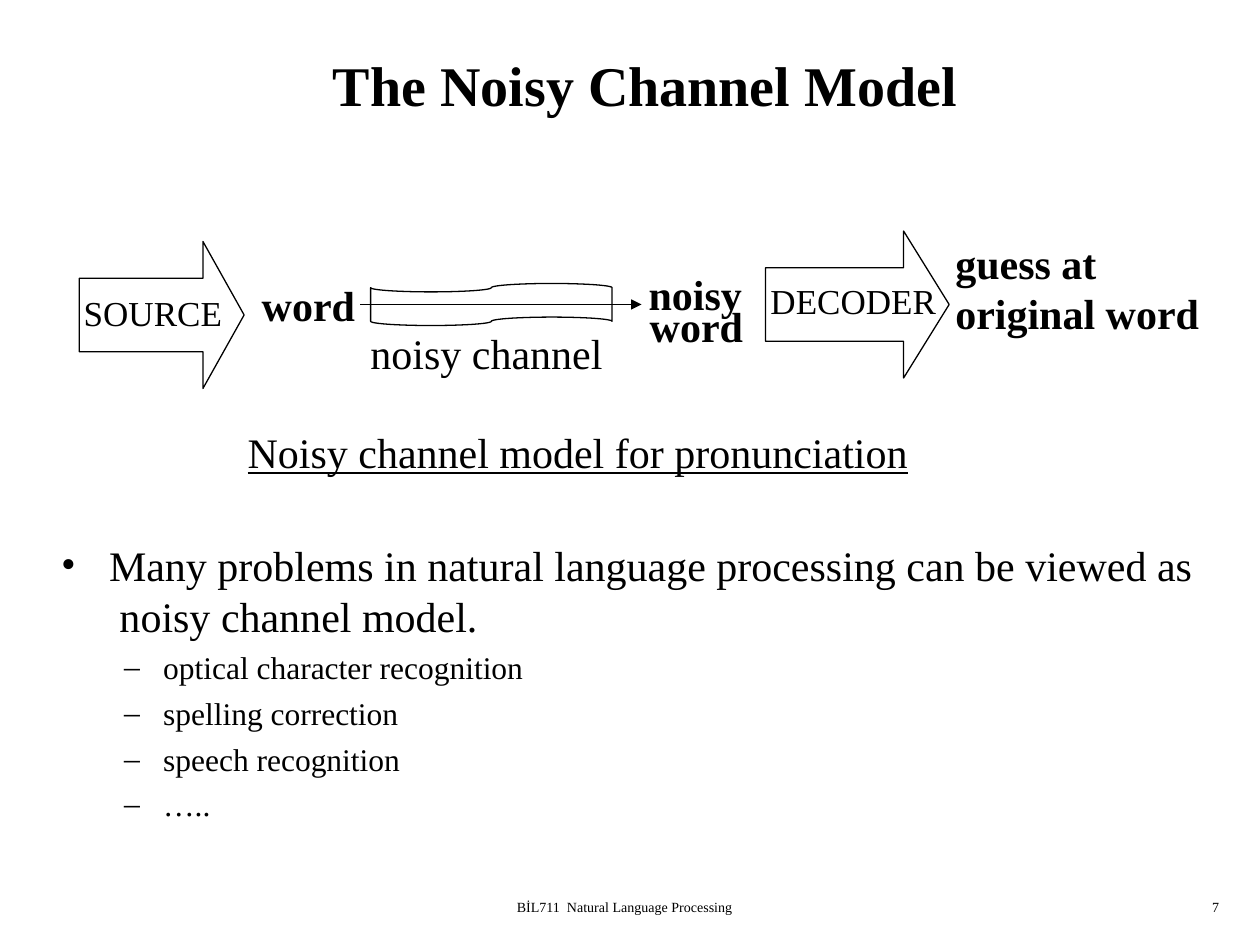
from collections import namedtuple
from pptx import Presentation
from pptx.dml.color import RGBColor
from pptx.enum.shapes import MSO_CONNECTOR as Connector, MSO_SHAPE as Shape
from pptx.enum.text import MSO_ANCHOR as Anchor, MSO_AUTO_SIZE as AutoSize, PP_ALIGN as Align
from pptx.oxml.ns import qn
from pptx.util import Inches, Pt
from lxml.etree import SubElement

CELL = Inches(10) / 120
FONT, INK = "Times New Roman", "000000"
Box = namedtuple("Box", "col row cols rows")


def cells(count):
    return round(count * CELL)


def color(hex_code):
    return RGBColor.from_string(hex_code)


def within(region, col, row, cols, rows):
    return Box(region.col + col, region.row + row, cols, rows)


def place(box):
    return [cells(length) for length in box]


def format_paragraph(paragraph, text, size=24, bold=False, underline=False,
                     align=Align.LEFT, bullet=None, margin=0, hang=0, before=0):
    paragraph.text = text
    if bullet:
        properties = paragraph._p.get_or_add_pPr()
        properties.set("marL", str(Inches(margin)))
        properties.set("indent", str(-Inches(hang)))
        SubElement(properties, qn("a:buFont")).set("typeface", FONT)
        SubElement(properties, qn("a:buChar")).set("char", bullet)
    paragraph.alignment = align
    paragraph.space_before = Pt(before)
    for run in paragraph.runs:
        run.font.name, run.font.size = FONT, Pt(size)
        run.font.bold, run.font.underline = bold, underline
        run.font.color.rgb = color(INK)


def add_text(slide, box, *lines, wrap=False, **style):
    frame = slide.shapes.add_textbox(*place(box)).text_frame
    frame.word_wrap = wrap
    frame.auto_size = AutoSize.NONE if wrap else AutoSize.SHAPE_TO_FIT_TEXT
    for index, line in enumerate(lines):
        paragraph = frame.add_paragraph() if index else frame.paragraphs[0]
        format_paragraph(paragraph, line, **style)
    return frame


def add_outline(slide, kind, box, *adjustments):
    outline = slide.shapes.add_shape(kind, *place(box))
    outline.shadow.inherit = False
    outline.fill.background()
    outline.line.color.rgb = color(INK)
    outline.line.width = Pt(0.75)
    for index, value in enumerate(adjustments):
        outline.adjustments[index] = value


def add_signal(slide, start, end, row):
    signal = slide.shapes.add_connector(
        Connector.STRAIGHT, cells(start), cells(row), cells(end), cells(row))
    signal.line.color.rgb = color(INK)
    signal.line.width = Pt(0.75)
    SubElement(signal.line._get_or_add_ln(), qn("a:tailEnd")).set("type", "triangle")
    SubElement(signal._element.spPr, qn("a:effectLst"))


def build_title(slide, box):
    title = slide.shapes.title
    title.left, title.top, title.width, title.height = place(box)
    title.text_frame.vertical_anchor = Anchor.MIDDLE
    format_paragraph(title.text_frame.paragraphs[0], "The Noisy Channel Model",
                     size=32, bold=True, align=Align.CENTER)


def build_channel(slide, region):
    stages = [
        ("DECODER", (65.4, 0, 17.5, 14), (64.7, 4, 18.8, 5.3), 0.31),
        ("SOURCE", (0.05, 1, 15.7, 14), (-0.7, 5.2, 15.8, 5.3), 0.28),
    ]
    for stage, arrow, label, head in stages:
        add_outline(slide, Shape.RIGHT_ARROW, within(region, *arrow), 0.5, head)
        add_text(slide, within(region, *label), stage, size=20)

    add_outline(slide, Shape.FLOWCHART_PUNCHED_TAPE, within(region, 27.8, 5, 23, 4))
    add_signal(slide, region.col + 26.8, region.col + 53.6, region.row + 7)
    add_text(slide, within(region, 26.6, 8.6, 24.5, 6), "noisy channel")

    words = [
        (("word",), (16.25, 4, 11.3, 6)),
        (("noisy",), (53.1, 3, 12.2, 6)),
        (("word",), (53.2, 6, 11.3, 6)),
        (("guess at", "original word"), (82.3, 0, 25.6, 10.8)),
    ]
    for lines, box in words:
        add_text(slide, within(region, *box), *lines, bold=True)


def build_problems(slide, box):
    frame = add_text(
        slide, box,
        "Many problems in natural language processing can be viewed as\v noisy channel model.",
        wrap=True, bullet="•", margin=0.38, hang=0.38)
    for problem in ("optical character recognition", "spelling correction",
                    "speech recognition", "….."):
        format_paragraph(frame.add_paragraph(), problem, size=18,
                         bullet="–", margin=0.81, hang=0.31, before=4.5)


def build_footer(slide, region):
    add_text(slide, within(region, 0, 0, 45, 3), "BİL711  Natural Language Processing",
             wrap=True, size=8, align=Align.CENTER)
    add_text(slide, within(region, 55.3, 0, 25, 3), "7",
             wrap=True, size=8, align=Align.RIGHT)


def main():
    deck = Presentation()
    deck.slide_width, deck.slide_height = cells(120), cells(90)
    slide = deck.slides.add_slide(deck.slide_layouts[5])
    build_title(slide, Box(4.7, 2, 113.5, 12))
    build_channel(slide, Box(7.5, 22, 108, 15))
    add_text(slide, Box(22.4, 40, 65.3, 6), "Noisy channel model for pronunciation",
             underline=True)
    build_problems(slide, Box(4.65, 50.8, 113.5, 32.3))
    build_footer(slide, Box(37, 85, 80.3, 3))
    deck.save("out.pptx")


if __name__ == "__main__":
    main()
